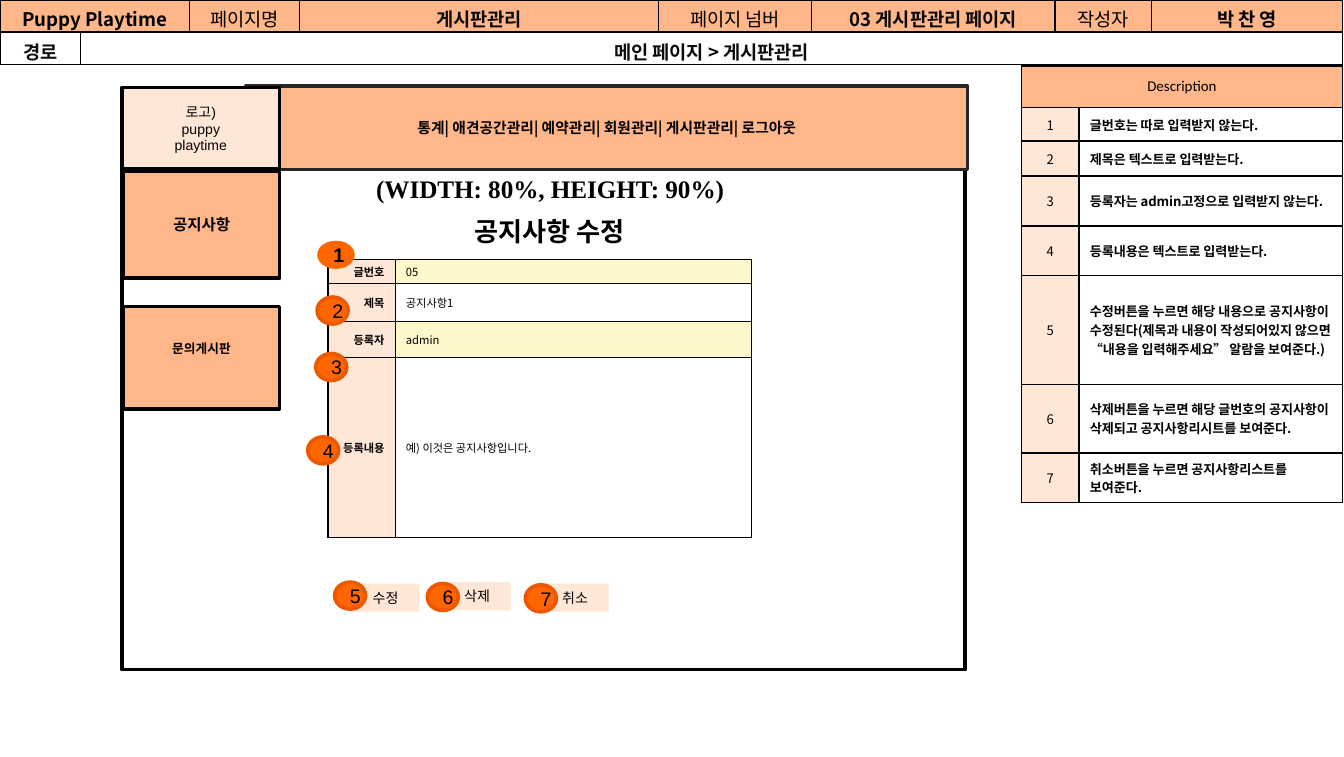
from dataclasses import dataclass

from lxml import etree
from pptx import Presentation
from pptx.dml.color import RGBColor
from pptx.enum.shapes import MSO_SHAPE
from pptx.enum.text import MSO_ANCHOR, MSO_AUTO_SIZE, PP_ALIGN
from pptx.oxml.ns import qn
from pptx.util import Inches, Pt

RECT, OVAL = MSO_SHAPE.RECTANGLE, MSO_SHAPE.OVAL
LEFT, CENTER, RIGHT = PP_ALIGN.LEFT, PP_ALIGN.CENTER, PP_ALIGN.RIGHT
TOP, MIDDLE = MSO_ANCHOR.TOP, MSO_ANCHOR.MIDDLE


@dataclass(frozen=True)
class Theme:
    black: str = "000000"
    ink: str = "0C0C0C"
    white: str = "FFFFFF"
    orange: str = "FFB689"
    peach: str = "FFE7D8"
    locked: str = "FFF7CC"
    badge: str = "FF6600"
    badge_line: str = "EB5800"
    menu_line: str = "262626"
    korean: str = "Noto Sans CJK KR"
    sans: str = "Arial"
    serif: str = "Times New Roman"
    plain: str = "Calibri"
    title: float = 14
    size_note: float = 13.5
    badge_size: float = 10.5
    header: float = 10
    notice: float = 8.3
    caption: float = 8
    menu: float = 7.9
    button: float = 7.5
    note: float = 7
    inquiry: float = 6.8
    form: float = 6


THEME = Theme()


def rgb(value):
    return RGBColor.from_string(value)


def write(frame, text, size, font=THEME.korean, bold=False, align=CENTER,
          color=THEME.black):
    frame.text = text
    for paragraph in frame.paragraphs:
        paragraph.alignment = align
        for run in paragraph.runs:
            run.font.size, run.font.bold, run.font.name = Pt(size), bold, font
            run.font.color.rgb = rgb(color)
            east_asian = etree.SubElement(run.font._element, qn("a:ea"))
            east_asian.set("typeface", THEME.korean)


def set_margins(holder, left, top, right, bottom):
    holder.margin_left, holder.margin_top = Inches(left), Inches(top)
    holder.margin_right, holder.margin_bottom = Inches(right), Inches(bottom)


def add_box(slide, kind, at, fill, line=None, text="", size=THEME.note,
            bottom=0.04, **style):
    box = slide.shapes.add_shape(kind, *map(Inches, at))
    box.shadow.inherit = False
    box.fill.solid()
    box.fill.fore_color.rgb = rgb(fill)
    if line:
        box.line.color.rgb = rgb(line)
        box.line.width = Pt(2)
    else:
        box.line.fill.background()
    frame = box.text_frame
    frame.word_wrap = True
    frame.vertical_anchor = MIDDLE
    set_margins(frame, 0.08, 0.04, 0.08, bottom)
    if text:
        write(frame, text, size, **style)


def add_grid(slide, left, top, widths, heights):
    table = slide.shapes.add_table(
        len(heights), len(widths), Inches(left), Inches(top),
        Inches(sum(widths)), Inches(sum(heights))).table
    table.first_row = table.horz_banding = False
    for column, width in zip(table.columns, widths):
        column.width = Inches(width)
    for row, height in zip(table.rows, heights):
        row.height = Inches(height)
    return table


def set_borders(cell, width):
    properties = cell._tc.get_or_add_tcPr()
    for side in ("a:lnL", "a:lnR", "a:lnT", "a:lnB"):
        line = etree.SubElement(properties, qn(side), w=str(Pt(width)))
        fill = etree.SubElement(line, qn("a:solidFill"))
        etree.SubElement(fill, qn("a:srgbClr"), val=THEME.black)


def fill_cell(cell, text, size, fill, margins, border=1, anchor=MIDDLE, **style):
    set_borders(cell, border)
    cell.fill.solid()
    cell.fill.fore_color.rgb = rgb(fill)
    cell.vertical_anchor = anchor
    set_margins(cell, *margins)
    write(cell.text_frame, text, size, **style)


def span_row(table, row, first, last):
    table.cell(row, first).merge(table.cell(row, last))
    for column in range(first + 1, last + 1):
        set_borders(table.cell(row, column), 1)


def add_description(slide):
    notes = [
        "글번호는 따로 입력받지 않는다.",
        "제목은 텍스트로 입력받는다.",
        "등록자는 admin고정으로 입력받지 않는다.",
        "등록내용은 텍스트로 입력받는다.",
        "수정버튼을 누르면 해당 내용으로 공지사항이 수정된다(제목과 내용이 작성되어있지 "
        "않으면 “내용을 입력해주세요” 알람을 보여준다.)",
        "삭제버튼을 누르면 해당 글번호의 공지사항이 삭제되고 공지사항리시트를 보여준다.",
        "취소버튼을 누르면 공지사항리스트를 보여준다.",
    ]
    margins = (0.08, 0.03, 0.08, 0.03)
    table = add_grid(slide, 7.6, 0.49, [0.43, 1.96],
                     [0.31, 0.25, 0.26, 0.37, 0.37, 0.81, 0.51, 0.37])
    span_row(table, 0, 0, 1)
    fill_cell(table.cell(0, 0), "Description", THEME.caption, THEME.orange,
              margins, font=THEME.plain)
    for number, note in enumerate(notes, start=1):
        fill_cell(table.cell(number, 0), str(number), THEME.note, THEME.peach, margins)
        fill_cell(table.cell(number, 1), note, THEME.note, THEME.white, margins,
                  bold=True, align=LEFT)


def add_page_layout(slide):
    add_box(slide, RECT, (0.91, 1.25, 6.27, 3.73), THEME.white, THEME.black)
    # The deeper bottom margin lifts the label above the middle
    add_box(slide, RECT, (0.92, 2.28, 1.16, 0.76), THEME.orange, THEME.black,
            "문의게시판", THEME.inquiry, bottom=0.18, font=THEME.sans, bold=True)
    add_box(slide, RECT, (0.92, 1.27, 1.16, 0.8), THEME.orange, THEME.black,
            "공지사항", THEME.notice, bold=True)
    add_box(slide, RECT, (1.83, 0.64, 5.37, 0.62), THEME.orange, THEME.menu_line,
            "통계| 애견공간관리| 예약관리| 회원관리| 게시판관리| 로그아웃",
            THEME.menu, bold=True)
    add_box(slide, RECT, (0.91, 0.65, 1.17, 0.61), THEME.peach, THEME.black,
            "로고)\npuppy\nplaytime", THEME.button, font=THEME.sans)
    size_note = slide.shapes.add_textbox(
        Inches(2.7), Inches(1.24), Inches(3.28), Inches(0.54)).text_frame
    size_note.word_wrap = True
    write(size_note, "(WIDTH: 80%, HEIGHT: 90%)", THEME.size_note,
          font=THEME.serif, bold=True, align=LEFT)


def add_form(slide):
    fields = [
        ("글번호", "05", THEME.locked),
        ("제목", "공지사항1", THEME.white),
        ("등록자", "admin", THEME.locked),
        ("등록내용", "예) 이것은 공지사항입니다.", THEME.white),
    ]
    margins = (0.08, 0.02, 0.08, 0.02)
    table = add_grid(slide, 2.44, 1.93, [0.5, 2.65], [0.18, 0.28, 0.27, 1.34])
    for row, (label, value, fill) in enumerate(fields):
        fill_cell(table.cell(row, 0), label, THEME.form, THEME.peach, margins,
                  border=0.75, bold=True, align=RIGHT)
        fill_cell(table.cell(row, 1), value, THEME.form, fill, margins,
                  border=0.75, align=LEFT)


def add_buttons(slide):
    for label, left, top in [("수정", 2.62, 4.34), ("삭제", 3.3, 4.33),
                             ("취소", 4.03, 4.34)]:
        add_box(slide, RECT, (left, top, 0.5, 0.21), THEME.peach, None, label,
                THEME.button, font=THEME.serif)


def add_badges(slide):
    add_box(slide, OVAL, (2.36, 1.79, 0.28, 0.21), THEME.badge, None, "1",
            THEME.badge_size, font=THEME.sans, bold=True)
    places = [(2.36, 2.21), (2.35, 2.63), (2.29, 3.25),
              (2.49, 4.33), (3.18, 4.34), (3.91, 4.35)]
    for number, (left, top) in enumerate(places, start=2):
        add_box(slide, OVAL, (left, top, 0.23, 0.2), THEME.badge, THEME.badge_line,
                str(number), THEME.badge_size, font=THEME.sans)


def add_page_header(slide):
    entries = [
        (0, "Puppy Playtime", True, THEME.black), (2, "페이지명", False, THEME.black),
        (3, "게시판관리", True, THEME.ink), (4, "페이지 넘버", False, THEME.black),
        (5, "03 게시판관리 페이지", True, THEME.ink), (6, "작성자", False, THEME.black),
        (7, "박 찬 영", True, THEME.black),
    ]
    route = [(0, "경로"), (1, "메인 페이지 > 게시판관리")]
    margins = (0.09, 0.04, 0.09, 0)
    table = add_grid(slide, 0, 0, [0.6, 0.81, 0.82, 2.67, 1.14, 1.81, 0.72, 1.42],
                     [0.24, 0.24])
    span_row(table, 0, 0, 1)
    span_row(table, 1, 1, 7)
    for column, text, bold, color in entries:
        fill_cell(table.cell(0, column), text, THEME.header, THEME.orange, margins,
                  anchor=TOP, bold=bold, color=color)
    for column, text in route:
        fill_cell(table.cell(1, column), text, THEME.header, THEME.white, margins,
                  bold=True, color=THEME.ink)


def place_title(slide):
    title = slide.shapes.title
    title.left, title.top = Inches(3.43), Inches(1.55)
    title.width, title.height = Inches(1.42), Inches(0.34)
    frame = title.text_frame
    frame.auto_size = MSO_AUTO_SIZE.NONE
    frame.word_wrap = False
    frame.vertical_anchor = MIDDLE
    write(frame, "공지사항 수정", THEME.title, font=THEME.plain, bold=True, align=LEFT)
    # Bring the title in front of the page frame
    slide.shapes._spTree.append(title._element)


def main():
    deck = Presentation()
    deck.slide_width, deck.slide_height = Inches(10), Inches(5.63)
    slide = deck.slides.add_slide(deck.slide_layouts[5])
    for add_part in (add_description, add_page_layout, add_form, add_buttons,
                     add_badges, add_page_header, place_title):
        add_part(slide)
    deck.save("out.pptx")


if __name__ == "__main__":
    main()
